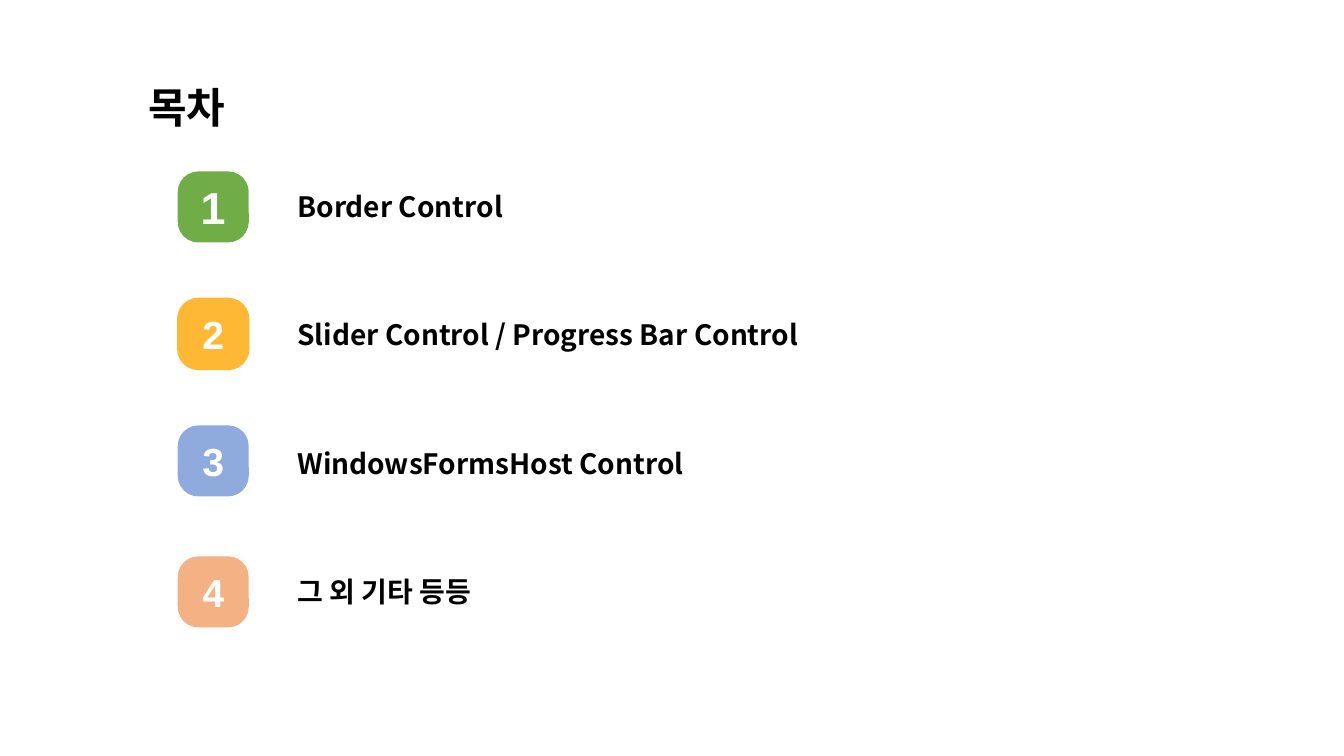
from lxml import etree
from pptx import Presentation
from pptx.dml.color import RGBColor
from pptx.enum.shapes import MSO_SHAPE
from pptx.enum.text import MSO_ANCHOR, MSO_AUTO_SIZE, PP_ALIGN
from pptx.oxml.ns import qn
from pptx.util import Cm, Pt

ROUND = MSO_SHAPE.ROUNDED_RECTANGLE
TOP, MIDDLE = MSO_ANCHOR.TOP, MSO_ANCHOR.MIDDLE
LEFT, CENTER = PP_ALIGN.LEFT, PP_ALIGN.CENTER
FIXED = MSO_AUTO_SIZE.NONE

COLORS = {
    "ink": "000000",
    "white": "FFFFFF",
    "green": "70AD47",
    "amber": "FEB834",
    "blue": "8FAADC",
    "peach": "F4B183",
}
BADGES = [
    ("1", 4.32, "green", 32),
    ("2", 7.52, "amber", 28),
    ("3", 10.72, "blue", 28),
    ("4", 14.02, "peach", 28),
]
TOPICS = [
    "Border Control",
    "Slider Control / Progress Bar Control",
    "WindowsFormsHost Control",
    "그 외 기타 등등",
]


class Deck:
    sans = "Noto Sans CJK KR"
    latin = "Arial"

    def __init__(self):
        self.prs = Presentation()
        self.prs.slide_width = Cm(33.87)
        self.prs.slide_height = Cm(19.05)
        self.slide = self.prs.slides.add_slide(self.prs.slide_layouts[1])

    def color(self, name):
        return RGBColor.from_string(COLORS[name])

    def style(self, para, size, face, color, align):
        para.alignment = align
        for run in para.runs:
            font = run.font
            font.size, font.bold, font.name = Pt(size), True, face
            font.color.rgb = self.color(color)
            etree.SubElement(font._element, qn("a:ea"), typeface=face)

    def place(self, holder, box, lines, size, lead, gap=0):
        holder.left, holder.top, holder.width, holder.height = map(Cm, box)
        frame = holder.text_frame
        frame.text = "\n".join(lines)
        frame.auto_size, frame.vertical_anchor = FIXED, TOP
        for para in frame.paragraphs:
            para.line_spacing = Pt(lead)
            para.space_before, para.space_after = Pt(0), Pt(gap)
            props = para._p.get_or_add_pPr()
            props.set("marL", "0")
            props.set("indent", "0")
            etree.SubElement(props, qn("a:buNone"))
            self.style(para, size, self.sans, "ink", LEFT)

    def title(self, text):
        self.place(self.slide.shapes.title, (3.48, 1.9, 15.4, 1.55), [text], 30, 36.7)

    def topics(self, lines):
        body = self.slide.placeholders[1]
        self.place(body, (7.24, 4.64, 19.9, 10.8), lines, 20, 24.5, 67)

    def badge(self, text, top, color, size):
        shape = self.slide.shapes.add_shape(ROUND, Cm(4.48), Cm(top), Cm(1.79), Cm(1.79))
        shape.adjustments[0] = 0.29
        shape.shadow.inherit = False
        shape.fill.solid()
        shape.fill.fore_color.rgb = self.color(color)
        if color == "amber":
            shape.line.color.rgb = self.color(color)
            shape.line.width = Pt(1)
        else:
            shape.line.fill.background()
        frame = shape.text_frame
        frame.text = text
        frame.vertical_anchor = MIDDLE
        frame.margin_left = frame.margin_right = Cm(0)
        self.style(frame.paragraphs[0], size, self.latin, "white", CENTER)


def main():
    deck = Deck()
    deck.title("목차")
    for badge in BADGES:
        deck.badge(*badge)
    deck.topics(TOPICS)
    deck.prs.save("out.pptx")


if __name__ == "__main__":
    main()
